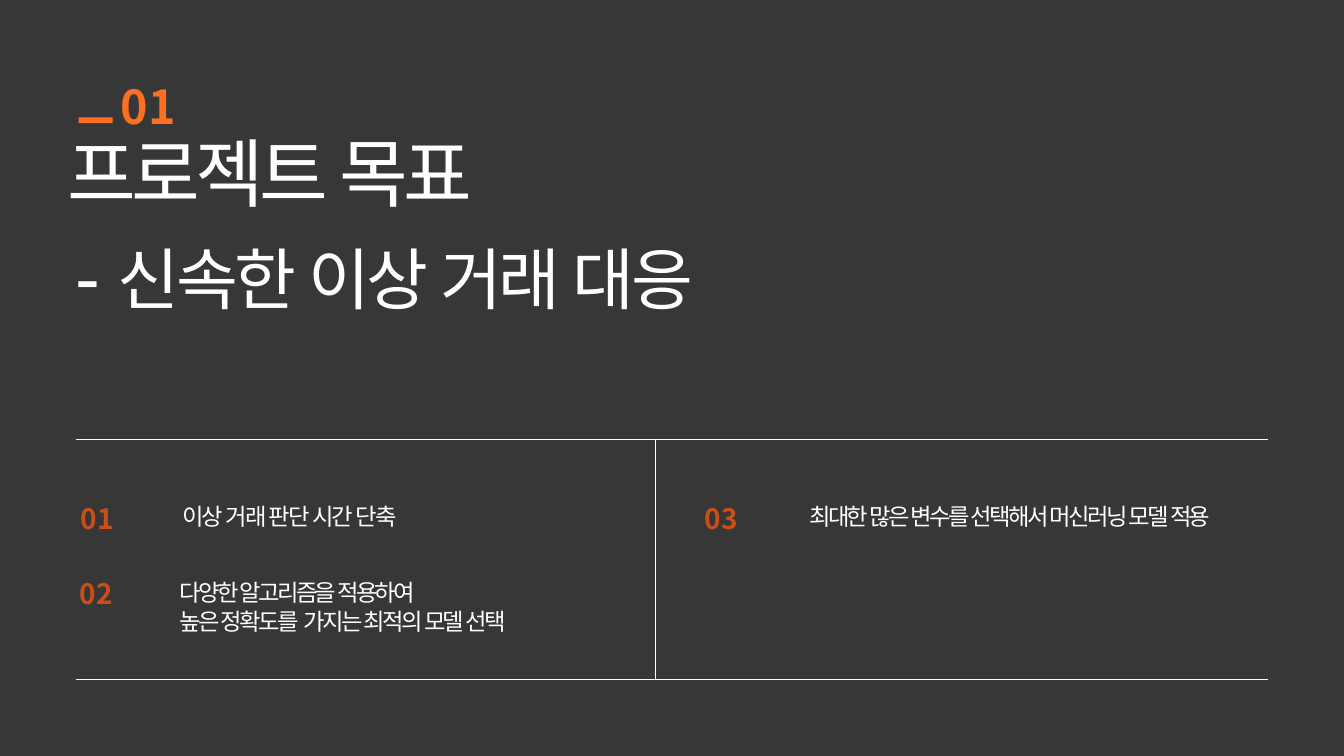
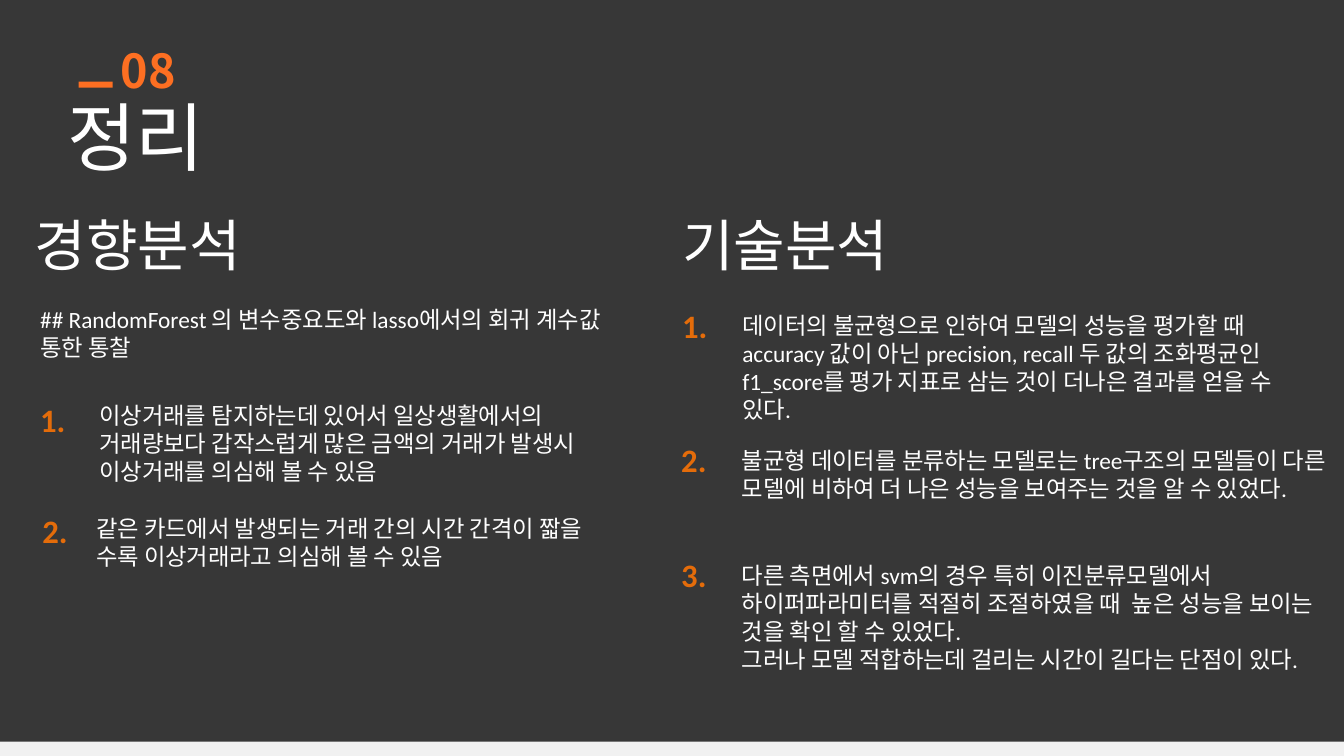
from lxml import etree
from pptx import Presentation
from pptx.dml.color import RGBColor
from pptx.enum.lang import MSO_LANGUAGE_ID
from pptx.enum.shapes import MSO_CONNECTOR, MSO_SHAPE
from pptx.enum.text import MSO_ANCHOR, MSO_AUTO_SIZE, PP_ALIGN
from pptx.oxml.ns import qn
from pptx.util import Cm, Pt

RECTANGLE = MSO_SHAPE.RECTANGLE
STRAIGHT = MSO_CONNECTOR.STRAIGHT
TOP = MSO_ANCHOR.TOP
LEFT = PP_ALIGN.LEFT
GROW = MSO_AUTO_SIZE.SHAPE_TO_FIT_TEXT
KOREAN = MSO_LANGUAGE_ID.KOREAN

WIDTH, HEIGHT = 50.8, 28.58
TITLE_ONLY = 5
COLORS = {
    "page": "F1F1F1",
    "panel": "373737",
    "white": "FFFFFF",
    "accent": "FD6F22",
    "rust": "CC4E17",
    "orange": "E46C0A",
}
SANS, BODY, DIGITS = "Arial", "Calibri", "Noto Sans CJK KR"


def color(name):
    return RGBColor.from_string(COLORS[name])


class SlideBuilder:
    def __init__(self):
        self.deck = Presentation()
        self.deck.slide_width = Cm(WIDTH)
        self.deck.slide_height = Cm(HEIGHT)
        fill = self.deck.slide_master.background.fill
        fill.solid()
        fill.fore_color.rgb = color("page")
        self.page = None

    def start(self, panel_height=HEIGHT):
        layout = self.deck.slide_layouts[TITLE_ONLY]
        self.page = self.deck.slides.add_slide(layout)
        panel = self.bar(0, 0, WIDTH, panel_height, "panel")
        self.page.shapes.title._element.addprevious(panel._element)

    def bar(self, left, top, width, height, fill):
        shape = self.page.shapes.add_shape(
            RECTANGLE, Cm(left), Cm(top), Cm(width), Cm(height))
        shape.shadow.inherit = False
        shape.fill.solid()
        shape.fill.fore_color.rgb = color(fill)
        shape.line.fill.background()
        return shape

    def rule(self, x1, y1, x2, y2):
        line = self.page.shapes.add_connector(
            STRAIGHT, Cm(x1), Cm(y1), Cm(x2), Cm(y2))
        line.line.color.rgb = color("white")
        line.line.width = Pt(0.75)
        etree.SubElement(line._element.spPr, qn("a:effectLst"))

    def style(self, span, size, font, ink="white", bold=False, spacing=0):
        span.font.size = Pt(size)
        span.font.bold = bold
        span.font.color.rgb = color(ink)
        span.font.name = font
        span.font.language_id = KOREAN
        properties = span.font._element
        etree.SubElement(properties, qn("a:ea")).set("typeface", font)
        if spacing:
            properties.set("spc", str(round(spacing * 100)))

    def fill_box(self, box, text, tight, **look):
        frame = box.text_frame
        frame.word_wrap = True
        frame.vertical_anchor = TOP
        frame.auto_size = GROW
        if tight:
            frame.margin_left = frame.margin_top = Cm(0.03)
            frame.margin_right = frame.margin_bottom = 0
        frame.text = text
        for para in frame.paragraphs:
            para.alignment = LEFT
            para.space_before = Pt(1 if tight else 0)
            for span in para.runs:
                self.style(span, **look)

    def text(self, left, top, width, height, text, tight=False, **look):
        box = self.page.shapes.add_textbox(
            Cm(left), Cm(top), Cm(width), Cm(height))
        self.fill_box(box, text, tight, **look)
        return box

    def header(self, top, number, title, width, spacing=0):
        box = self.page.shapes.title
        box.left, box.top = Cm(2.51), Cm(top + 1.84)
        box.width, box.height = Cm(width), Cm(3.45)
        self.fill_box(box, title, True, size=80, font=SANS, spacing=spacing)
        self.bar(2.97, top + 1.52, 1.29, 0.22, "accent")
        self.number(4.52, top, number, 2.34, 2.18, 50, "accent")

    def number(self, left, top, number, width=1.35, height=1.35, size=30, ink="rust"):
        self.text(left, top, width, height, number, tight=True, size=size,
                  font=DIGITS, ink=ink, bold=True, spacing=0.4)


def build_goal(builder):
    builder.start()
    builder.header(2.92, "01", "프로젝트 목표", 20.98, -5.1)
    subtitle = builder.text(2.82, 8.66, 38.66, 3.45, "- ", tight=True,
                            size=80, font=SANS, spacing=-3.6)
    span = subtitle.text_frame.paragraphs[0].add_run()
    span.text = "신속한 이상 거래 대응"
    builder.style(span, 72, SANS, spacing=-3.6)

    left, right, upper, lower, middle = 2.87, 47.93, 16.61, 25.7, 24.77
    for y in (upper, lower):
        builder.rule(left, y, right, y)
    builder.rule(middle, upper, middle, lower)

    goals = [
        ("01", 3.02, 6.86, 18.92, 11.99, 1.09, -2.1, "이상 거래 판단 시간 단축"),
        ("02", 2.97, 6.76, 21.77, 16.23, 2.21, -2.8,
         "다양한 알고리즘을 적용하여\n높은 정확도를  가지는 최적의 모델 선택"),
        ("03", 26.59, 30.56, 18.92, 16.23, 3.28, -2.8,
         "최대한 많은 변수를 선택해서 머신러닝 모델 적용"),
    ]
    for number, number_left, text_left, top, width, height, spacing, goal in goals:
        builder.number(number_left, top, number)
        builder.text(text_left, top + 0.05, width, height, goal, tight=True,
                     size=25, font=SANS, spacing=spacing)


def build_summary(builder):
    builder.start(28.04)
    builder.header(1.57, "08", "정리", 29.03)
    for left, heading in ((1.07, "경향분석"), (25.53, "기술분석")):
        builder.text(left, 7.84, 19.25, 2.82, heading, size=60, font=BODY)
    builder.text(1.27, 11.43, 22.2, 2.39,
                 "## RandomForest 의 변수중요도와 lasso에서의 회귀 계수값 통한 통찰",
                 size=25, font=BODY)

    findings = [
        ("1.", 1.27, 15.01, 3.51, 15.06, 20.42, 3.45,
         "이상거래를 탐지하는데 있어서 일상생활에서의 거래량보다 갑작스럽게 많은 "
         "금액의 거래가 발생시 이상거래를 의심해 볼 수 있음"),
        ("2.", 1.35, 19.18, 3.38, 19.3, 20.42, 2.39,
         "같은 카드에서 발생되는 거래 간의 시간 간격이 짧을 수록 이상거래라고 "
         "의심해 볼 수 있음"),
        ("1.", 25.53, 11.43, 27.81, 11.63, 21.89, 4.52,
         "데이터의 불균형으로 인하여 모델의 성능을 평가할 때 accuracy 값이 아닌 "
         "precision, recall 두 값의 조화평균인 f1_score를 평가 지표로 삼는 것이 "
         "더나은 결과를 얻을 수 있다."),
        ("2.", 25.5, 16.51, 27.79, 16.76, 22.61, 3.45,
         "불균형 데이터를 분류하는 모델로는 tree구조의 모델들이 다른 모델에 비하여 "
         "더 나은 성능을 보여주는 것을 알 수 있었다."),
        ("3.", 25.5, 20.85, 27.79, 21.08, 22.61, 5.59,
         "다른 측면에서 svm의 경우 특히 이진분류모델에서 하이퍼파라미터를 적절히 "
         "조절하였을 때  높은 성능을 보이는 것을 확인 할 수 있었다.\n"
         "그러나 모델 적합하는데 걸리는 시간이 길다는 단점이 있다."),
    ]
    for mark, mark_left, mark_top, left, top, width, height, finding in findings:
        builder.text(mark_left, mark_top, 3, 1.75, mark,
                     size=35, font=BODY, ink="orange", bold=True)
        builder.text(left, top, width, height, finding, size=25, font=BODY)


def main():
    builder = SlideBuilder()
    build_goal(builder)
    build_summary(builder)
    builder.deck.save("out.pptx")


if __name__ == "__main__":
    main()
